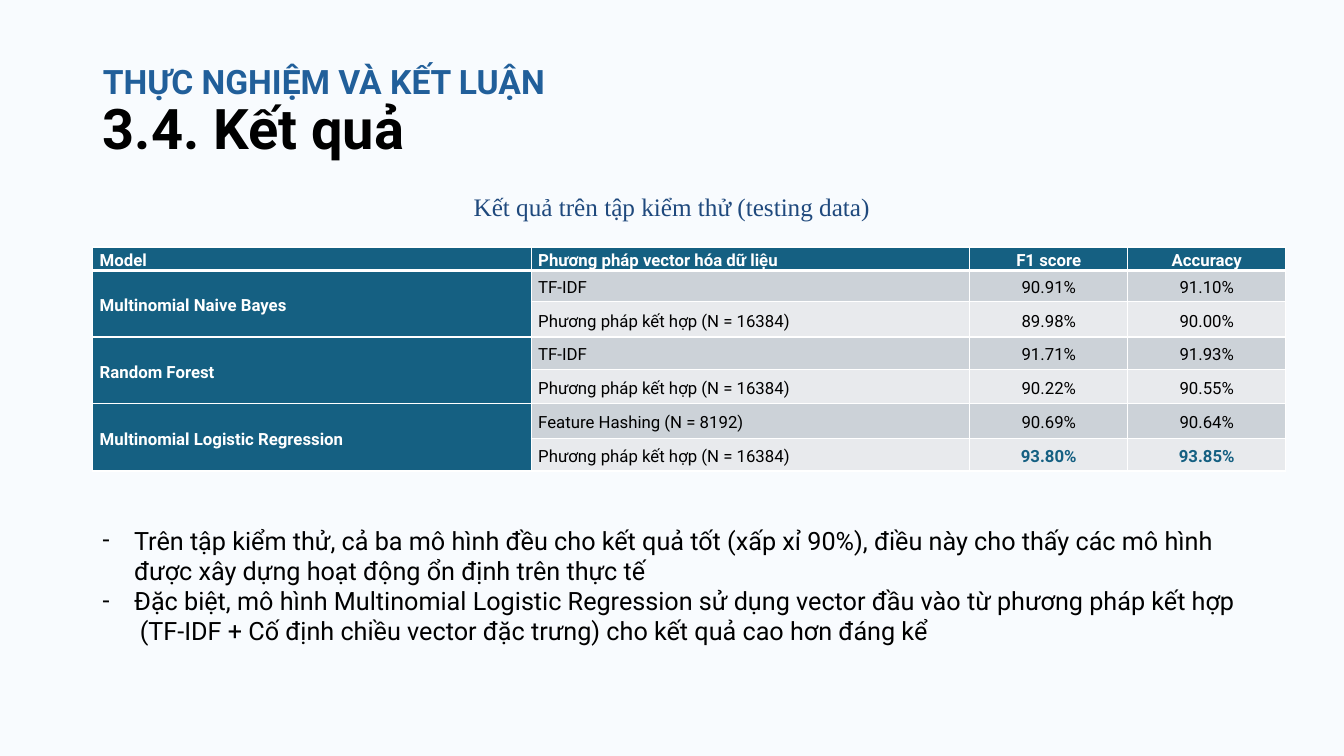
from lxml import etree
from pptx import Presentation
from pptx.dml.color import RGBColor
from pptx.enum.text import MSO_ANCHOR, MSO_AUTO_SIZE, PP_ALIGN
from pptx.oxml.ns import qn
from pptx.util import Pt

LEFT, CENTER, JUST = PP_ALIGN.LEFT, PP_ALIGN.CENTER, PP_ALIGN.JUSTIFY
MIDDLE = MSO_ANCHOR.MIDDLE
NO_FIT = MSO_AUTO_SIZE.NONE

SANS, SERIF = "Roboto", "Times New Roman"
TEAL, WHITE, BLACK = "156082", "FFFFFF", "000000"
BANDS = ("CCD2D8", "E8EAED")
EDGE = 66.24

HEADS = ("Model", "Phương pháp vector hóa dữ liệu", "F1 score", "Accuracy")
MIXED = "Phương pháp kết hợp (N = 16384)"
MODELS = (
    ("Multinomial Naive Bayes",
     (("TF-IDF", "90.91%", "91.10%"), (MIXED, "89.98%", "90.00%"))),
    ("Random Forest",
     (("TF-IDF", "91.71%", "91.93%"), (MIXED, "90.22%", "90.55%"))),
    ("Multinomial Logistic Regression",
     (("Feature Hashing (N = 8192)", "90.69%", "90.64%"),
      (MIXED, "93.80%", "93.85%"))),
)
BEST = ("93.80%", "93.85%")
WIDTHS = (313.2, 313.2, 113, 112.7)
HEIGHTS = (16, 22.3, 25.2, 23, 24.5, 25.2, 23)

# Text, alignment, left margin, dash
NOTES = (
    ("Trên tập kiểm thử, cả ba mô hình đều cho kết quả tốt (xấp xỉ 90%), "
     "điều này cho thấy các mô hình được xây dựng hoạt động ổn định trên "
     "thực tế", LEFT, 22.5, True),
    ("Đặc biệt, mô hình Multinomial Logistic Regression sử dụng vector "
     "đầu vào từ phương pháp kết hợp", JUST, 22.5, True),
    ("(TF-IDF + Cố định chiều vector đặc trưng) cho kết quả cao hơn đáng kể",
     JUST, 26.6, False),
)


def color(value):
    return RGBColor.from_string(value)


def add_run(para, text, size, tint, bold=False, face=SANS):
    run = para.add_run()
    run.text = text
    font = run.font
    font.name, font.size, font.bold = face, Pt(size), bold
    font.color.rgb = color(tint)


def add_box(slide, left, top, width, height):
    box = slide.shapes.add_textbox(Pt(left), Pt(top), Pt(width), Pt(height))
    box.text_frame.word_wrap = True
    return box.text_frame


def set_title(slide):
    title = slide.shapes.title
    title.left, title.top = Pt(EDGE), Pt(28.8)
    title.width, title.height = Pt(828), Pt(104.4)
    frame = title.text_frame
    frame.auto_size, frame.vertical_anchor = NO_FIT, MIDDLE
    frame.word_wrap = True
    para = frame.paragraphs[0]
    para.alignment, para.line_spacing = LEFT, 0.9
    add_run(para, "THỰC NGHIỆM VÀ KẾT LUẬN", 24, "215F9A", True)
    para.add_line_break()
    add_run(para, "3.4. Kết quả", 40, BLACK, True)


def add_edges(cell, base):
    props = cell._tc.get_or_add_tcPr()
    sides = (("a:lnL", 1), ("a:lnR", 1), ("a:lnT", 1), ("a:lnB", base))
    for spot, (tag, width) in enumerate(sides):
        line = etree.Element(qn(tag), w=str(Pt(width)))
        fill = etree.SubElement(line, qn("a:solidFill"))
        etree.SubElement(fill, qn("a:srgbClr"), val=WHITE)
        props.insert(spot, line)


def fill_cell(cell, text, fill, tint, bold, align, base=1):
    cell.fill.solid()
    cell.fill.fore_color.rgb = color(fill)
    cell.vertical_anchor = MIDDLE
    cell.margin_left = cell.margin_right = Pt(5)
    cell.margin_top = cell.margin_bottom = Pt(0)
    para = cell.text_frame.paragraphs[0]
    para.alignment, para.line_spacing = align, 1.2
    add_run(para, text, 12, tint, bold)
    add_edges(cell, base)


def add_scores(slide):
    frame = slide.shapes.add_table(
        len(HEIGHTS), len(WIDTHS), Pt(EDGE), Pt(176.4),
        Pt(sum(WIDTHS)), Pt(sum(HEIGHTS)))
    table = frame.table
    for col, width in zip(table.columns, WIDTHS):
        col.width = Pt(width)
    for row, height in zip(table.rows, HEIGHTS):
        row.height = Pt(height)
    aligns = (JUST, JUST, CENTER, CENTER)

    # Header row
    for col, head in enumerate(HEADS):
        fill_cell(table.cell(0, col), head, TEAL, WHITE, True, aligns[col], 3)

    # Two rows for each model
    for group, (model, rows) in enumerate(MODELS):
        first = 1 + 2 * group
        lead = table.cell(first, 0)
        lead.merge(table.cell(first + 1, 0))
        fill_cell(lead, model, TEAL, WHITE, True, JUST)
        add_edges(table.cell(first + 1, 0), 1)
        for step, values in enumerate(rows):
            for col, value in enumerate(values, 1):
                best = value in BEST
                fill_cell(table.cell(first + step, col), value, BANDS[step],
                          TEAL if best else BLACK, best, aligns[col])


def add_caption(slide):
    para = add_box(slide, 239.76, 133.2, 480.24, 28.8).paragraphs[0]
    para.alignment = CENTER
    add_run(para, "Kết quả trên tập kiểm thử (testing data)", 18, "1F497D",
            face=SERIF)


def add_notes(slide):
    frame = add_box(slide, EDGE, 371.5, 852.5, 94.3)
    for spot, (text, align, left, dash) in enumerate(NOTES):
        para = frame.add_paragraph() if spot else frame.paragraphs[0]
        para.alignment = align
        props = para._p.get_or_add_pPr()
        props.set("marL", str(Pt(left)))
        if dash:
            props.set("indent", str(-Pt(left)))
            etree.SubElement(props, qn("a:buFont"), typeface=SANS)
            etree.SubElement(props, qn("a:buChar"), char="-")
        add_run(para, text, 18, BLACK)


def main():
    deck = Presentation()
    deck.slide_width, deck.slide_height = Pt(960), Pt(540)
    slide = deck.slides.add_slide(deck.slide_layouts[5])
    back = slide.background.fill
    back.solid()
    back.fore_color.rgb = color("F8FBFE")
    set_title(slide)
    add_scores(slide)
    add_caption(slide)
    add_notes(slide)
    deck.save("out.pptx")


if __name__ == "__main__":
    main()
